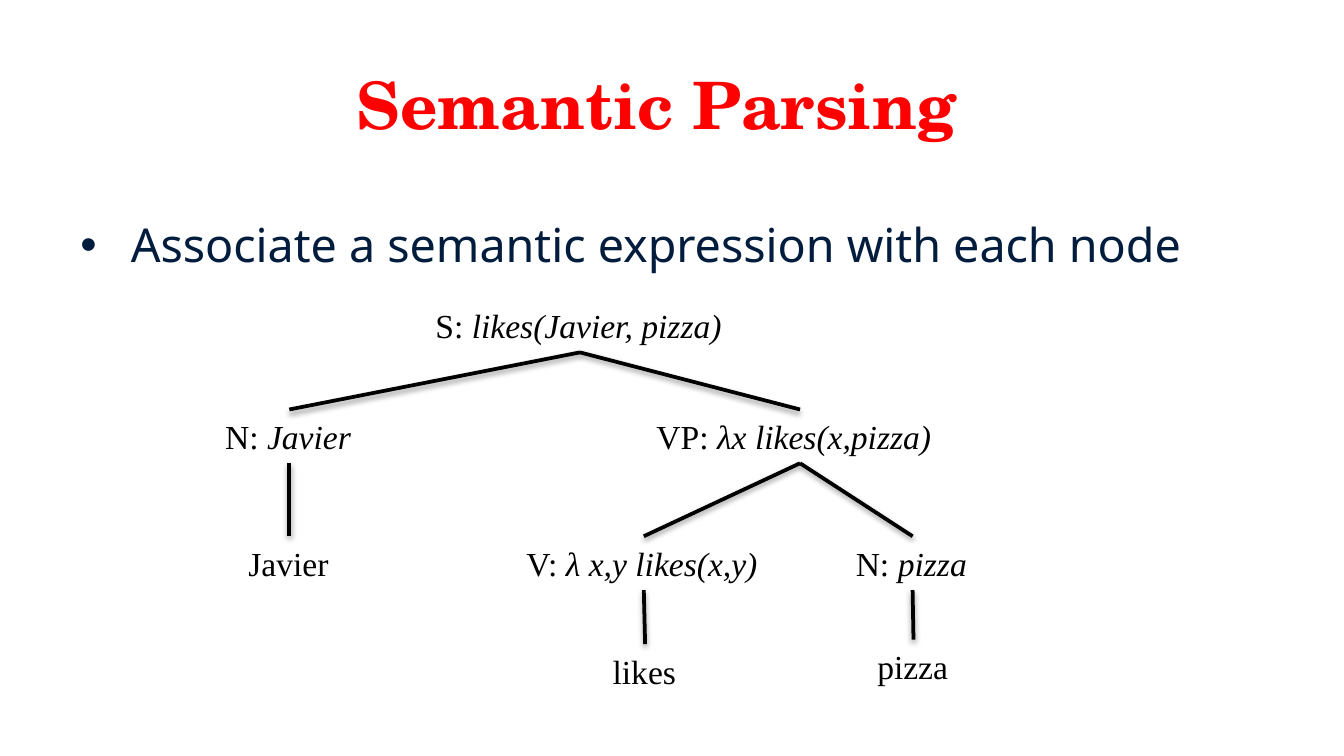
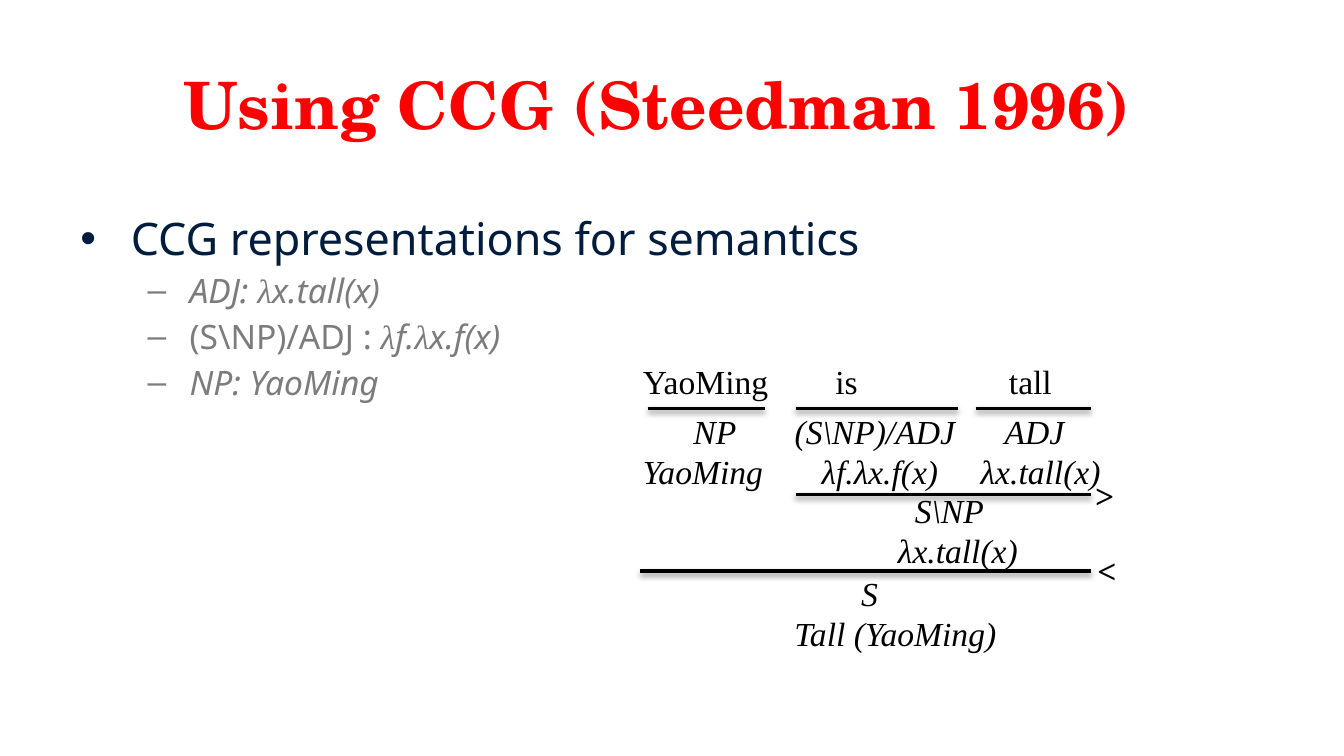
from lxml.etree import SubElement
from pptx import Presentation
from pptx.dml.color import RGBColor
from pptx.enum.shapes import MSO_CONNECTOR
from pptx.enum.text import MSO_ANCHOR, PP_ALIGN
from pptx.oxml.ns import qn
from pptx.util import Pt

RED = RGBColor(0xFF, 0x00, 0x00)
NAVY = RGBColor(0x01, 0x1C, 0x3C)
GRAY = RGBColor(0x7C, 0x7C, 0x7C)
BLACK = RGBColor(0x00, 0x00, 0x00)
TITLE_FONT, BODY_FONT, SERIF = "TeX Gyre Schola", "Noto Sans", "Times New Roman"
LABEL_HEIGHT = 28.8

NODES = {
    "S": ("S: ", "likes(Javier, pizza)", 310.7, 160, 169),
    "N subject": ("N: ", "Javier", 155, 219.4, 83),
    "VP": ("VP: ", "λx likes(x,pizza)", 428.6, 219.4, 168),
    "Javier": ("Javier", "", 155, 287.3, 58),
    "V": ("V: ", "λ x,y likes(x,y)", 344.9, 287.3, 140),
    "N object": ("N: ", "pizza", 488.9, 287.3, 75),
    "likes": ("likes", "", 345.6, 345.1, 49),
    "pizza": ("pizza", "", 489.4, 342.7, 53),
}
EDGES = [
    ("S", "N subject"), ("S", "VP"), ("VP", "V"), ("VP", "N object"),
    ("N subject", "Javier"), ("V", "likes"), ("N object", "pizza"),
]

WORDS = [("YaoMing", 378, 190), ("is", 453.5, 190), ("tall", 552, 190)]
CATEGORIES = [
    ("NP", 383, 216.7), ("(S\\NP)/ADJ", 468.7, 216.7), ("ADJ", 554.2, 216.7),
    ("YaoMing", 376.6, 238), ("λf.λx.f(x)", 471.4, 238), ("λx.tall(x)", 557.5, 238),
    ("S\\NP", 508.6, 259.2), ("λx.tall(x)", 513.2, 280.5),
    ("S", 465.8, 303.3), ("Tall (YaoMing)", 479.7, 324.6),
]
COMBINATORS = [(">", 591.8, 251.1), ("<", 593, 290.9)]
BARS = [
    (347, 409.7, 218.9), (426.2, 513.4, 218.9), (522.7, 584.6, 218.9),
    (426.2, 584.6, 265), (342.7, 584.6, 306),
]


def add_run(paragraph, text, font=SERIF, size=18, color=BLACK, bold=False, italic=False):
    """Append formatted text to a paragraph."""
    run = paragraph.add_run()
    run.text = text
    run.font.name = font
    run.font.size = Pt(size)
    run.font.color.rgb = color
    run.font.bold = bold
    run.font.italic = italic


def add_title_slide(deck, heading):
    """Add a slide with the shared red heading."""
    slide = deck.slides.add_slide(deck.slide_layouts[5])
    title = slide.shapes.title
    title.left, title.top, title.width, title.height = Pt(20), Pt(31), Pt(664), Pt(55.4)
    title.text_frame.vertical_anchor = MSO_ANCHOR.MIDDLE
    title.text_frame.margin_bottom = Pt(10)
    paragraph = title.text_frame.paragraphs[0]
    paragraph.alignment = PP_ALIGN.CENTER
    add_run(paragraph, heading, font=TITLE_FONT, size=35, color=RED, bold=True)
    return slide


def add_label(slide, parts, center, top, width=150, align=PP_ALIGN.CENTER):
    """Place a one-line label made of (text, format) parts around a center."""
    label = slide.shapes.add_textbox(
        Pt(center - width / 2), Pt(top), Pt(width), Pt(LABEL_HEIGHT))
    label.text_frame.word_wrap = False
    paragraph = label.text_frame.paragraphs[0]
    paragraph.alignment = align
    for text, style in parts:
        add_run(paragraph, text, **style)


def add_line(slide, start, end):
    """Draw a black line with a soft shadow below it."""
    line = slide.shapes.add_connector(
        MSO_CONNECTOR.STRAIGHT, *(Pt(value) for value in (*start, *end)))
    line.line.color.rgb = BLACK
    line.line.width = Pt(2)
    effects = SubElement(line._element.spPr, qn("a:effectLst"))
    shadow = SubElement(effects, qn("a:outerShdw"), blurRad=str(Pt(3.1)),
                        dist=str(Pt(1.6)), dir="5400000", rotWithShape="0")
    tint = SubElement(shadow, qn("a:srgbClr"), val=str(BLACK))
    SubElement(tint, qn("a:alpha"), val="38000")


def set_bullet(paragraph, mark, margin, hanging):
    """Give a paragraph a hanging bullet."""
    properties = paragraph._p.get_or_add_pPr()
    properties.set("marL", str(Pt(margin)))
    properties.set("indent", str(-Pt(hanging)))
    SubElement(properties, qn("a:buFont"), typeface="Arial")
    SubElement(properties, qn("a:buChar"), char=mark)


def add_bullets(slide, top, height, headline, size, details=()):
    """Write a headline bullet and its second-level details."""
    body = slide.shapes.add_textbox(Pt(36), Pt(top), Pt(648), Pt(height)).text_frame
    body.word_wrap = True
    headline_parts = [(headline, dict(font=BODY_FONT, size=size, color=NAVY))]
    for index, parts in enumerate([headline_parts, *details]):
        paragraph = body.add_paragraph() if index else body.paragraphs[0]
        paragraph.level = 1 if index else 0
        paragraph.space_before = Pt(3)
        set_bullet(paragraph, *(("–", 58.5, 22.5) if index else ("•", 27, 27)))
        for text, style in parts:
            add_run(paragraph, text, **style)


def build_parsing_slide(deck):
    """Show the parse tree with a meaning at each node."""
    slide = add_title_slide(deck, "Semantic Parsing")
    add_bullets(slide, 112.3, 213, "Associate a semantic expression with each node", 25)
    for category, meaning, center, top, width in NODES.values():
        parts = [(category, {})]
        if meaning:
            parts.append((meaning, dict(italic=True)))
        add_label(slide, parts, center, top, width, PP_ALIGN.LEFT)
    for parent, child in EDGES:
        parent_x, parent_top = NODES[parent][2:4]
        add_line(slide, NODES[child][2:4], (parent_x, parent_top + LABEL_HEIGHT))


def build_ccg_slide(deck):
    """Show the CCG lexicon and derivation."""
    slide = add_title_slide(deck, "Using CCG (Steedman 1996)")
    plain = dict(font=BODY_FONT, color=GRAY)
    slanted = dict(plain, italic=True)
    greek = dict(slanted, font=SERIF)
    add_bullets(slide, 109.4, 129, "CCG representations for semantics", 24, [
        [("ADJ: ", slanted), ("λ", greek), ("x.tall(x)", slanted)],
        [("(S\\NP)/ADJ : ", plain), ("λ", greek), ("f.", slanted),
         ("λ", greek), ("x.f(x)", slanted)],
        [("NP: YaoMing", slanted)],
    ])
    for entries, style in ((WORDS, {}), (CATEGORIES, dict(italic=True)),
                           (COMBINATORS, dict(bold=True))):
        for text, center, top in entries:
            add_label(slide, [(text, style)], center, top)
    for left, right, y in BARS:
        add_line(slide, (left, y), (right, y))


def main():
    """Build and save the deck."""
    deck = Presentation()
    deck.slide_width, deck.slide_height = Pt(720), Pt(405)
    build_parsing_slide(deck)
    build_ccg_slide(deck)
    deck.save("out.pptx")


if __name__ == "__main__":
    main()
